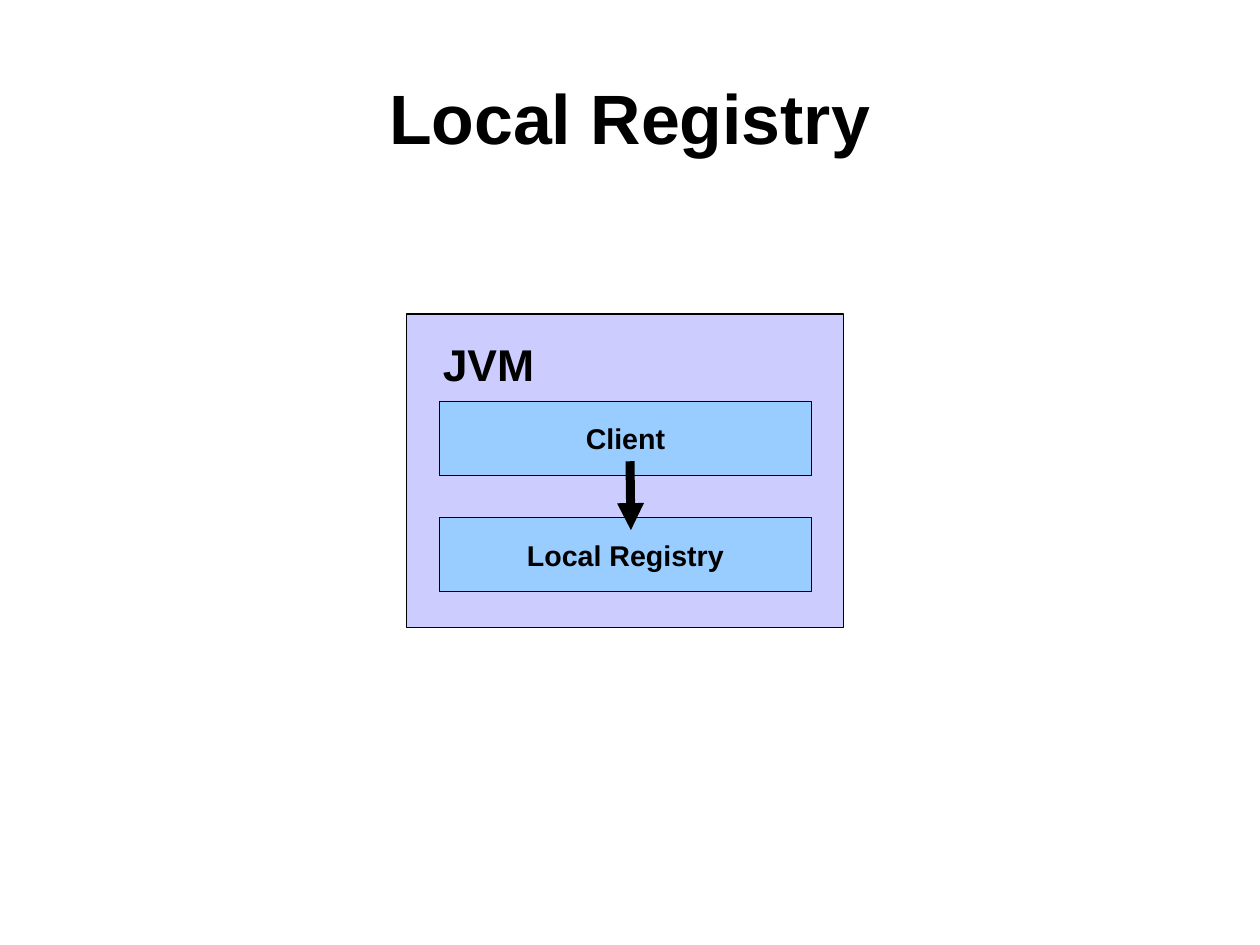
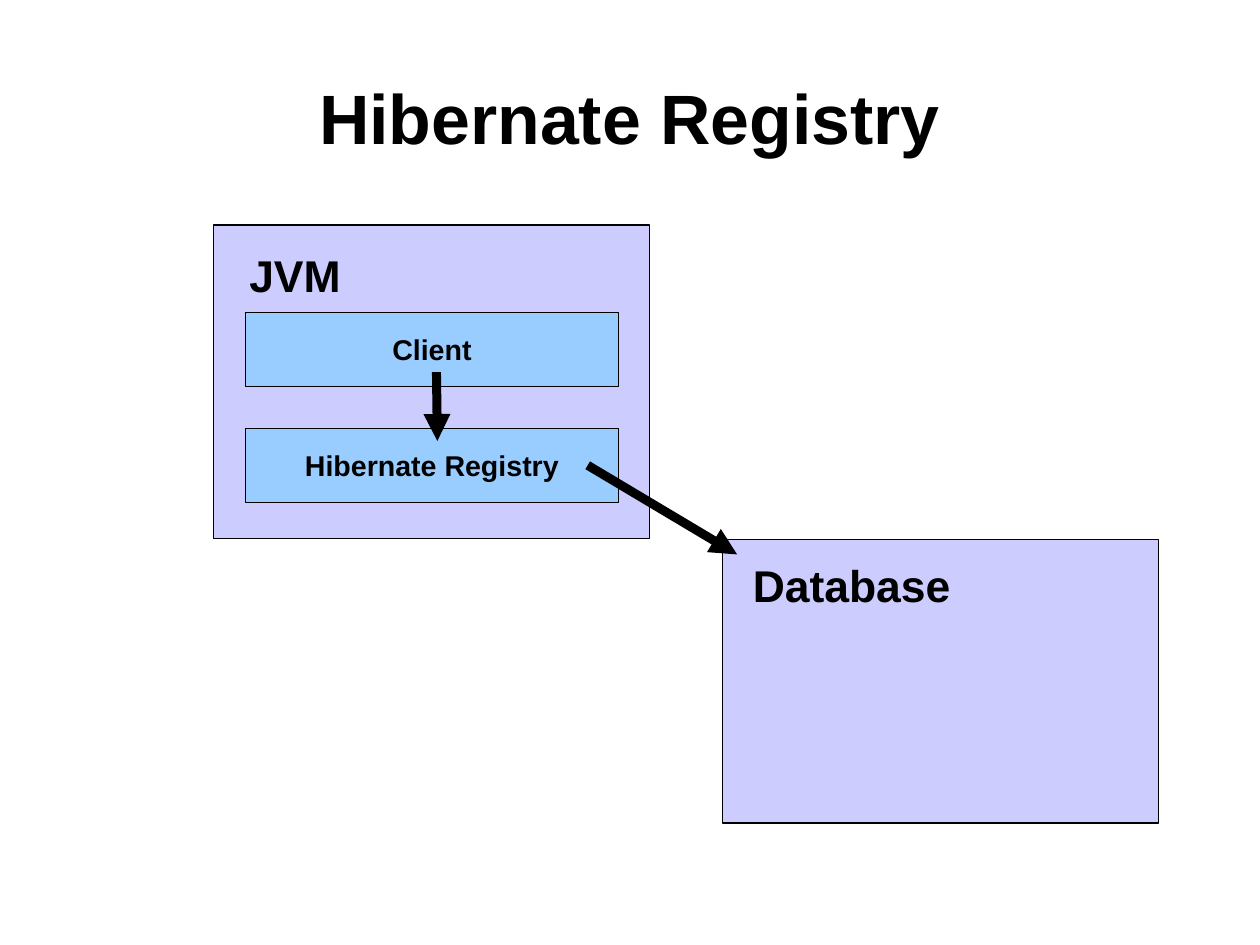
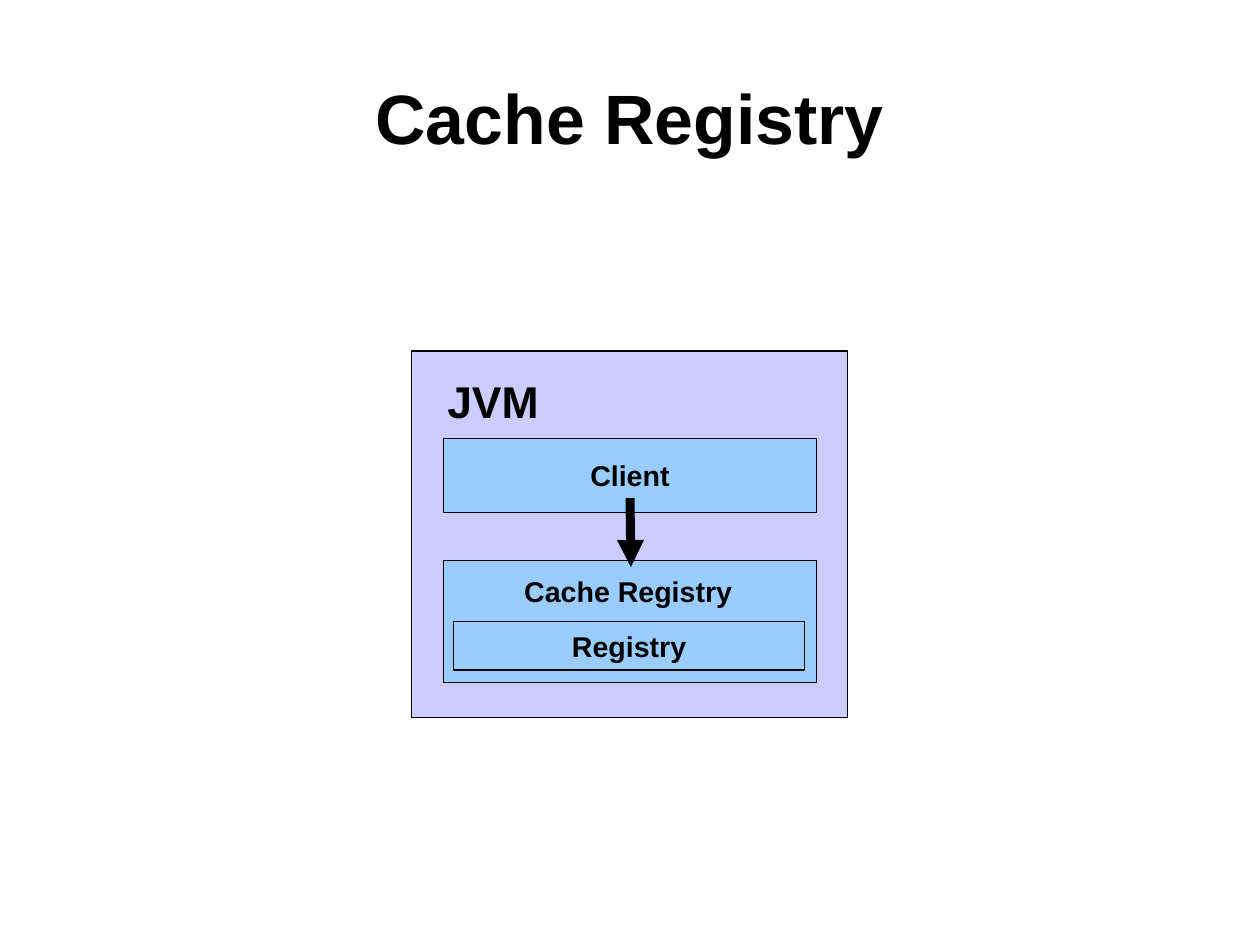
import pptx
import pptx.dml.color
import pptx.enum.shapes
import pptx.enum.text
import pptx.oxml.ns
import pptx.util
import lxml.etree

Cm = pptx.util.Cm
Pt = pptx.util.Pt
ALIGN = pptx.enum.text.PP_ALIGN
ANCHOR = pptx.enum.text.MSO_ANCHOR

FONT = "Arial"
INK = "000000"
PANEL_FILL = "CCCCFF"
BLOCK_FILL = "99CCFF"
PANEL_WIDTH = 9.7
BLOCK_WIDTH, BLOCK_HEIGHT = 8.28, 1.65
BLOCK_INSET = 0.72
CLIENT_DROP = 1.94


def rgb(hex_colour):
    return pptx.dml.color.RGBColor.from_string(hex_colour)


class Deck:
    """Holds the shared style and the slide being built; lengths are in cm."""

    def __init__(self):
        self.presentation = pptx.Presentation()
        self.presentation.slide_width = Cm(28)
        self.presentation.slide_height = Cm(21)
        self.slide = None

    def start_slide(self, heading):
        title_only = self.presentation.slide_layouts[5]
        self.slide = self.presentation.slides.add_slide(title_only)
        title = self.slide.shapes.title
        title.left, title.top = Cm(1.4), Cm(0.84)
        title.width, title.height = Cm(25.2), Cm(3.5)
        frame = title.text_frame
        frame.margin_left = frame.margin_right = 0
        frame.margin_top = frame.margin_bottom = 0
        self.set_text(frame, heading, 44, ALIGN.CENTER, ANCHOR.MIDDLE)

    def set_text(self, frame, wording, size, align, anchor):
        frame.vertical_anchor = anchor
        paragraph = frame.paragraphs[0]
        paragraph.alignment = align
        run = paragraph.add_run()
        run.text = wording
        run.font.name = FONT
        run.font.size = Pt(size)
        run.font.bold = True
        run.font.color.rgb = rgb(INK)

    def box(self, left, top, width, height, fill, wording=None):
        rectangle = self.slide.shapes.add_shape(
            pptx.enum.shapes.MSO_SHAPE.RECTANGLE,
            Cm(left), Cm(top), Cm(width), Cm(height))
        rectangle.shadow.inherit = False
        rectangle.fill.solid()
        rectangle.fill.fore_color.rgb = rgb(fill)
        rectangle.line.color.rgb = rgb(INK)
        rectangle.line.width = Pt(0)
        if wording:
            self.set_text(rectangle.text_frame, wording, 18, ALIGN.CENTER, ANCHOR.MIDDLE)

    def label(self, left, top, width, height, wording, size=28):
        caption = self.slide.shapes.add_textbox(
            Cm(left), Cm(top), Cm(width), Cm(height))
        caption.text_frame.word_wrap = False
        self.set_text(caption.text_frame, wording, size, ALIGN.LEFT, ANCHOR.TOP)

    def arrow(self, start_x, start_y, end_x, end_y):
        connector = self.slide.shapes.add_connector(
            pptx.enum.shapes.MSO_CONNECTOR.STRAIGHT,
            Cm(start_x), Cm(start_y), Cm(end_x), Cm(end_y))
        connector.line.color.rgb = rgb(INK)
        connector.line.width = Pt(5.67)
        qn = pptx.oxml.ns.qn
        outline = connector.line._get_or_add_ln()
        lxml.etree.SubElement(outline, qn("a:tailEnd"), type="triangle")
        lxml.etree.SubElement(connector._element.spPr, qn("a:effectLst"))

    def jvm(self, left, top, registry=None, height=6.96,
            registry_drop=4.52, registry_height=BLOCK_HEIGHT):
        """Draws the JVM panel with its client and registry blocks."""
        self.box(left, top, PANEL_WIDTH, height, PANEL_FILL)
        self.label(left + 0.55, top + 0.38, 2.54, 1.37, "JVM")
        block_left = left + BLOCK_INSET
        self.box(block_left, top + registry_drop, BLOCK_WIDTH, registry_height,
                 BLOCK_FILL, registry)
        self.box(block_left, top + CLIENT_DROP, BLOCK_WIDTH, BLOCK_HEIGHT,
                 BLOCK_FILL, "Client")

    def client_call(self, x, jvm_top):
        """Draws the arrow from the client block down to the registry block."""
        self.arrow(x, jvm_top + 3.27, x + 0.02, jvm_top + 4.8)


def local_registry(deck):
    deck.start_slide("Local Registry")
    deck.jvm(9.04, 6.98, "Local Registry")
    deck.client_call(14, 6.98)


def hibernate_registry(deck):
    deck.start_slide("Hibernate Registry")
    deck.jvm(4.74, 5, "Hibernate Registry")
    deck.box(16.05, 11.99, PANEL_WIDTH, 6.3, PANEL_FILL)
    deck.label(16.48, 12.27, 4.9, 1.37, "Database")
    deck.arrow(13.06, 10.34, 16.38, 12.32)
    deck.client_call(9.7, 5)


def cache_registry(deck):
    deck.start_slide("Cache Registry")
    deck.jvm(9.14, 7.8, height=8.15, registry_drop=4.65, registry_height=2.72)
    deck.box(10.08, 13.82, 7.8, 1.07, BLOCK_FILL, "Registry")
    deck.label(11.4, 12.62, 5.13, 0.99, "Cache Registry", size=18)
    deck.client_call(14, 7.8)


def main():
    deck = Deck()
    local_registry(deck)
    hibernate_registry(deck)
    cache_registry(deck)
    deck.presentation.save("out.pptx")


if __name__ == "__main__":
    main()
